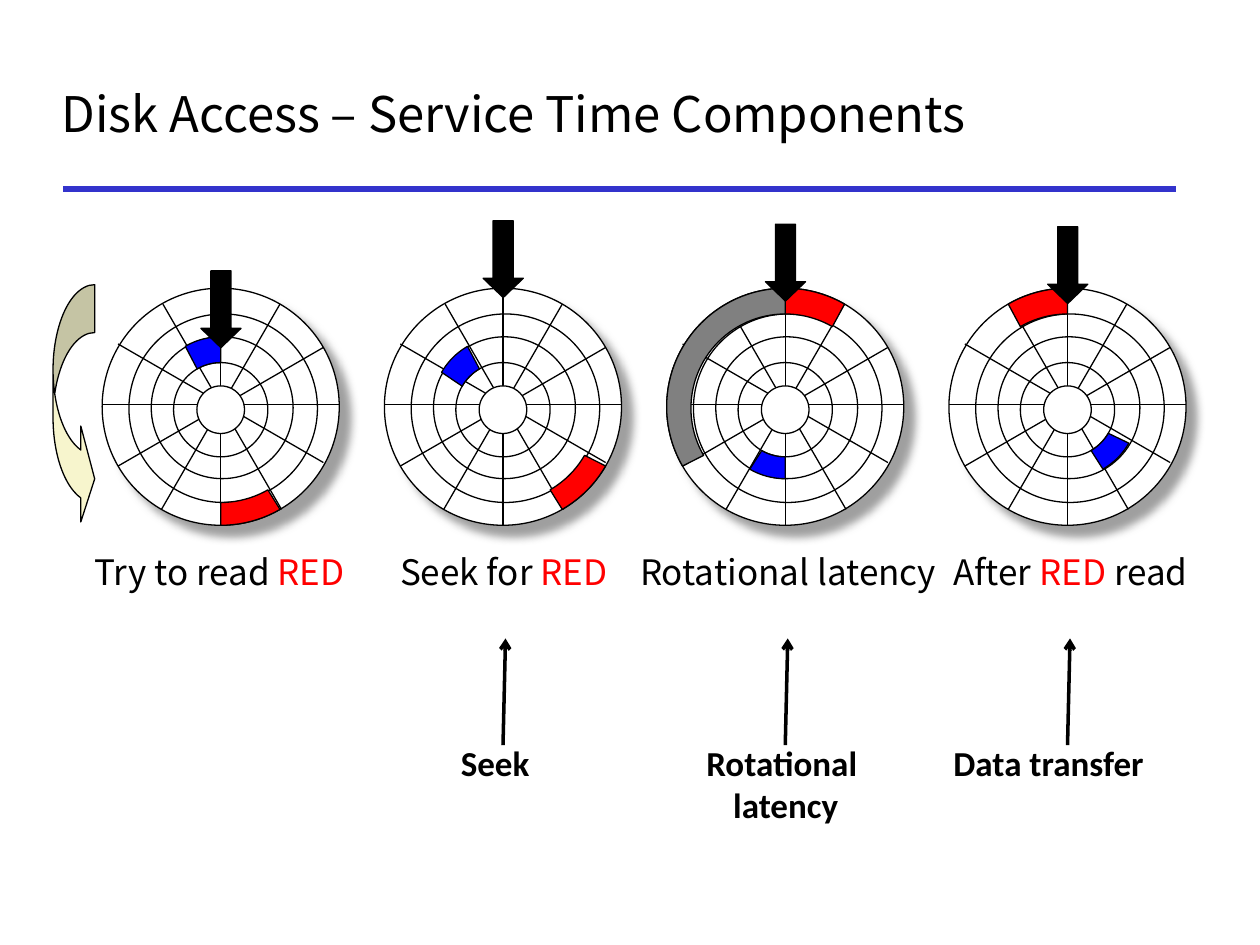
from math import cos, radians, sin

from lxml.etree import SubElement
from pptx import Presentation
from pptx.dml.color import RGBColor
from pptx.enum.shapes import MSO_CONNECTOR, MSO_SHAPE
from pptx.enum.text import MSO_ANCHOR, MSO_AUTO_SIZE, PP_ALIGN
from pptx.oxml.ns import qn
from pptx.util import Cm, Pt

COLORS = {
    "black": "000000", "white": "FFFFFF", "red": "FF0000", "blue": "0000FF",
    "gray": "808080", "rule": "3333CC", "cream": "F7F5CD",
}
TITLE_FORMAT = {"name": "Noto Sans CJK KR", "size": Pt(28), "bold": False}
CAPTION_FORMAT = {"name": "Noto Sans CJK KR", "size": Pt(20)}
LABEL_FORMAT = {"name": "Calibri", "size": Pt(20), "bold": True}

# Disk geometry in centimetres: (radius, horizontal shift, vertical shift)
RINGS = [(2.39, 0, 0), (1.9, 0.05, 0.03), (1.43, 0.03, 0.02),
         (0.95, 0, 0.06), (0.48, 0, 0.06)]
# Spoke angle clockwise from the top, with its shift
SPOKES = [(0, 0, 0), (30, 0, 0), (60, 0, 0), (90, 0, -0.05),
          (120, 0, -0.07), (150, 0.03, 0)]
DISK_SIZE, DISK_TOP, FIRST_DISK_LEFT, DISK_PITCH = 4.78, 5.81, 2.06, 5.69

# Each sector: (color, ring, start angle, end angle)
DISKS = [
    {"sectors": [("blue", 2, 330, 360), ("red", 0, 150, 180)], "head": -0.35,
     "caption": [("Try to read ", "black"), ("RED", "red")], "box": (1.47, 5.92)},
    {"sectors": [("red", 0, 120, 150), ("blue", 2, 300, 330)], "head": -1.36,
     "caption": [("Seek for ", "black"), ("RED", "red")], "box": (7.62, 5.08)},
    {"sectors": [("red", 0, 0, 30), ("blue", 2, 180, 210), ("gray", 0, 240, 360)],
     "head": -1.29,
     "caption": [("Rotational latency", "black")], "box": (12.5, 6.78)},
    {"sectors": [("red", 0, 330, 360), ("blue", 2, 120, 150)], "head": -1.24,
     "caption": [("After ", "black"), ("RED", "red"), (" read", "black")],
     "box": (18.62, 5.92)},
]
# Each component: (lines, left, width, height, alignment, wraps)
COMPONENTS = [
    (["Seek"], 9.04, 2.18, 1.27, PP_ALIGN.LEFT, False),
    (["Rotational ", "latency"], 13.54, 4.6, 2.31, PP_ALIGN.CENTER, True),
    (["Data transfer"], 18.97, 5.16, 1.27, PP_ALIGN.LEFT, False),
]


def color(name):
    return RGBColor.from_string(COLORS[name])


def style_shape(shape, fill):
    shape.shadow.inherit = False
    shape.fill.solid()
    shape.fill.fore_color.rgb = color(fill)
    shape.line.color.rgb = color("black")
    shape.line.width = Pt(0.75)


def add_line(shapes, start, end, line_color="black", width=0.75, arrow=False):
    points = [Cm(value) for value in (*start, *end)]
    connector = shapes.add_connector(MSO_CONNECTOR.STRAIGHT, *points)
    connector.line.color.rgb = color(line_color)
    connector.line.width = Pt(width)
    if arrow:
        SubElement(connector.line._get_or_add_ln(), qn("a:tailEnd"), type="arrow")
    SubElement(connector._element.spPr, qn("a:effectLst"))


def add_shape(shapes, kind, box, fill, adjustments=()):
    shape = shapes.add_shape(kind, *[Cm(value) for value in box])
    style_shape(shape, fill)
    for index, value in enumerate(adjustments):
        shape.adjustments[index] = value
    return shape


def add_drop_shadow(shape):
    effects = shape._element.spPr.find(qn("a:effectLst"))
    shadow = SubElement(effects, qn("a:outerShdw"), blurRad=str(Pt(5)),
                        dist=str(Pt(8.5)), dir="2700000", algn="ctr", rotWithShape="0")
    tint = SubElement(shadow, qn("a:srgbClr"), val=COLORS["gray"])
    SubElement(tint, qn("a:alpha"), val="75000")


def add_text(paragraph, runs, text_format):
    for text, name in runs:
        run = paragraph.add_run()
        run.text = text
        for attribute, value in text_format.items():
            setattr(run.font, attribute, value)
        run.font.color.rgb = color(name)


def add_text_box(slide, box, paragraphs, text_format, alignment, wraps=True):
    frame = slide.shapes.add_textbox(*[Cm(value) for value in box]).text_frame
    frame.word_wrap = wraps
    frame.auto_size = MSO_AUTO_SIZE.SHAPE_TO_FIT_TEXT
    for index, runs in enumerate(paragraphs):
        paragraph = frame.add_paragraph() if index else frame.paragraphs[0]
        paragraph.alignment = alignment
        add_text(paragraph, runs, text_format)


def polar(center, radius, angle):
    return (center[0] + radius * sin(radians(angle)),
            center[1] - radius * cos(radians(angle)))


def add_sector(shapes, center, fill, ring, start, end):
    angles = range(start, end + 1, 3)
    points = []
    for (radius, _, shift), arc in ((RINGS[ring], angles),
                                    (RINGS[ring + 1], reversed(angles))):
        arc_center = (center[0], center[1] + shift)
        points += [polar(arc_center, radius, angle) for angle in arc]
    corners = [(Cm(x), Cm(y)) for x, y in points]
    builder = shapes.build_freeform(*corners[0])
    builder.add_line_segments(corners[1:], close=True)
    style_shape(builder.convert_to_shape(), fill)


def draw_title(slide, left, top, width, height):
    title = slide.shapes.title
    placement = {"left": left, "top": top, "width": width, "height": height}
    for attribute, value in placement.items():
        setattr(title, attribute, Cm(value))
    frame = title.text_frame
    frame.auto_size = MSO_AUTO_SIZE.NONE
    frame.vertical_anchor = MSO_ANCHOR.MIDDLE
    frame.paragraphs[0].alignment = PP_ALIGN.LEFT
    add_text(frame.paragraphs[0],
             [("Disk Access – Service Time Components", "black")], TITLE_FORMAT)
    add_line(slide.shapes, (left + 0.28, top + 2.59), (left + 22.71, top + 2.59), "rule", 3)


def draw_disk(slide, left, top, size, sectors, head):
    shapes = slide.shapes.add_group_shape().shapes
    center = (left + size / 2, top + size / 2)

    def add_ring(radius, shift_x, shift_y):
        box = (center[0] + shift_x - radius, center[1] + shift_y - radius,
               2 * radius, 2 * radius)
        return add_shape(shapes, MSO_SHAPE.OVAL, box, "white")

    # Tracks, spokes and hub
    tracks = [add_ring(*ring) for ring in RINGS[:-1]]
    add_drop_shadow(tracks[0])
    for angle, shift_x, shift_y in SPOKES:
        middle = (center[0] + shift_x, center[1] + shift_y)
        add_line(shapes, polar(middle, size / 2, angle), polar(middle, size / 2, angle + 180))
    add_ring(*RINGS[-1])

    # Colored sectors and the read head
    for sector in sectors:
        add_sector(shapes, center, *sector)
    add_shape(shapes, MSO_SHAPE.DOWN_ARROW, (center[0] - 0.4, top + head, 0.81, 1.55),
              "black", (0.5, 0.481))


def draw_component(slide, left, top, width, height, lines, alignment, wraps, arrow_x):
    add_text_box(slide, (left, top, width, height),
                 [[(line, "black")] for line in lines], LABEL_FORMAT, alignment, wraps)
    add_line(slide.shapes, (arrow_x, top + 0.19), (arrow_x + 0.05, top - 1.96),
             width=2, arrow=True)


def main():
    presentation = Presentation()
    presentation.slide_width, presentation.slide_height = Cm(25.4), Cm(19.05)
    slide = presentation.slides.add_slide(presentation.slide_layouts[5])
    draw_title(slide, 0.99, 1.22, 22.48, 2.11)

    # Four disks with captions
    lefts = [FIRST_DISK_LEFT + index * DISK_PITCH for index in range(len(DISKS))]
    for left, disk in zip(lefts, DISKS):
        draw_disk(slide, left, DISK_TOP, DISK_SIZE, disk["sectors"], disk["head"])
        caption_left, caption_width = disk["box"]
        add_text_box(slide, (caption_left, 10.97, caption_width, 1.1),
                     [disk["caption"]], CAPTION_FORMAT, PP_ALIGN.CENTER)

    # Rotation direction
    add_shape(slide.shapes, MSO_SHAPE.CURVED_RIGHT_ARROW, (1.07, 5.74, 0.84, 4.88),
              "cream", (1.15, 2.3, 0.333))

    # Service time components under the last three disks
    for disk_left, component in zip(lefts[1:], COMPONENTS):
        lines, left, width, height, alignment, wraps = component
        draw_component(slide, left, 14.83, width, height, lines, alignment, wraps,
                       disk_left + DISK_SIZE / 2)

    presentation.save("out.pptx")


if __name__ == "__main__":
    main()
